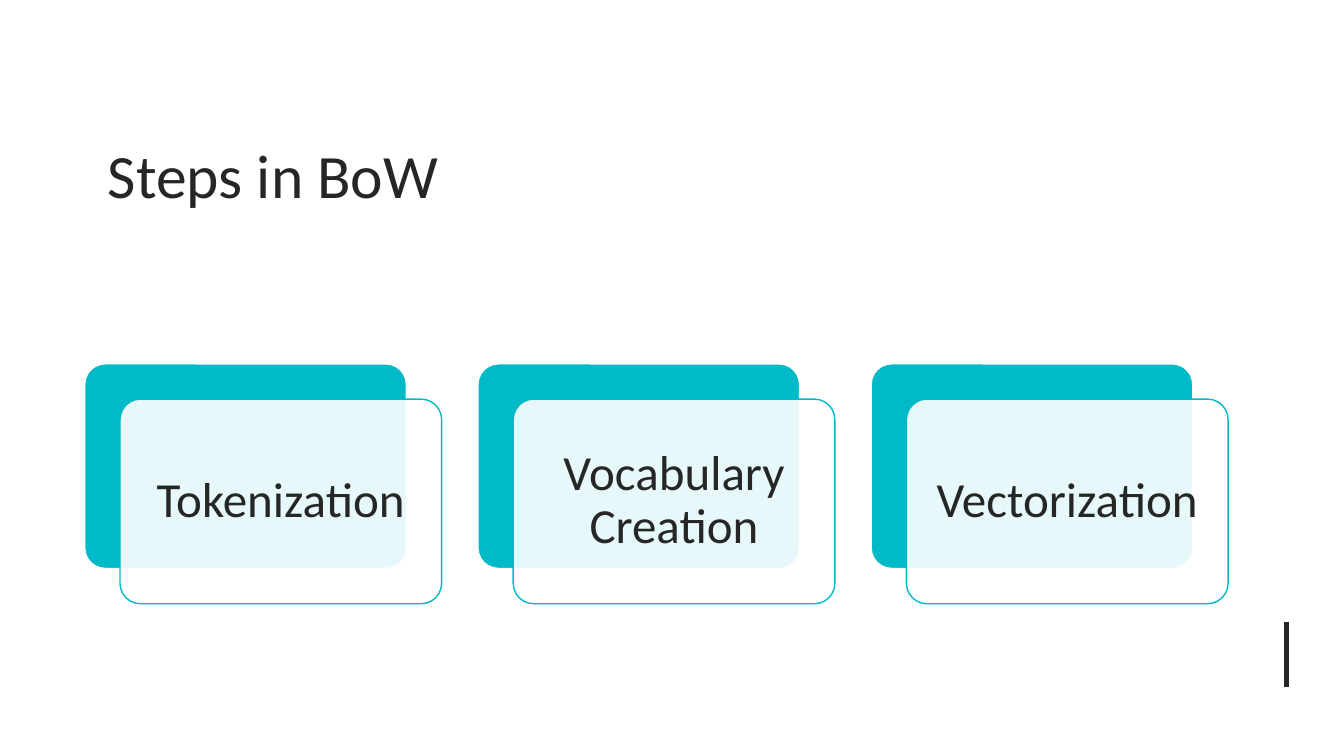
from lxml import etree
from pptx import Presentation
from pptx.dml.color import RGBColor
from pptx.enum.shapes import MSO_CONNECTOR, MSO_SHAPE
from pptx.enum.text import MSO_ANCHOR as Anchor, PP_ALIGN as Align
from pptx.oxml.ns import qn
from pptx.util import Inches, Pt

FONT = "Calibri"
DARK = "262626"
TEAL = "00BAC8"
WHITE = "FFFFFF"

STEPS = ["Tokenization", "Vocabulary Creation", "Vectorization"]
FIRST_LEFT, CARD_TOP, CARD_PITCH = 0.84, 3.61, 3.9
CARD_WIDTH, CARD_HEIGHT = 3.19, 2.03
FRONT_SHIFT = 0.35


def color(hex_value):
    """Turn a hex string into a colour."""
    return RGBColor.from_string(hex_value)


def write(frame, text, size, align, line_spacing=None, inset=0.1, left_inset=None):
    """Put one formatted, vertically centred paragraph into a text frame."""
    frame.word_wrap = True
    frame.vertical_anchor = Anchor.MIDDLE
    frame.margin_left = Inches(inset if left_inset is None else left_inset)
    frame.margin_right = Inches(inset)
    paragraph = frame.paragraphs[0]
    paragraph.alignment = align
    paragraph.line_spacing = line_spacing
    run = paragraph.add_run()
    run.text = text
    run.font.name = FONT
    run.font.size = Pt(size)
    run.font.color.rgb = color(DARK)


def add_title(slide, text):
    """Place and fill the title placeholder."""
    title = slide.shapes.title
    title.left, title.top = Inches(0.83), Inches(0.94)
    title.width, title.height = Inches(10.49), Inches(1.57)
    write(title.text_frame, text, size=44, align=Align.LEFT, left_inset=0.24)


def add_card(slide, left, top, fill, line, opacity=100):
    """Add a rounded card and return it."""
    card = slide.shapes.add_shape(
        MSO_SHAPE.ROUNDED_RECTANGLE,
        Inches(left), Inches(top), Inches(CARD_WIDTH), Inches(CARD_HEIGHT))
    card.adjustments[0] = 0.1
    card.shadow.inherit = False
    card.fill.solid()
    card.fill.fore_color.rgb = color(fill)
    card.line.color.rgb = color(line)
    card.line.width = Pt(1)
    if opacity < 100:
        fill_color = card.fill._xPr.find(qn("a:solidFill"))[0]
        etree.SubElement(fill_color, qn("a:alpha"), val=str(opacity * 1000))
    return card


def add_step(slide, left, text):
    """Add a teal card with a translucent labelled card in front of it."""
    add_card(slide, left, CARD_TOP, fill=TEAL, line=WHITE)
    front = add_card(slide, left + FRONT_SHIFT, CARD_TOP + FRONT_SHIFT,
                     fill=WHITE, line=TEAL, opacity=90)
    write(front.text_frame, text, size=35, align=Align.CENTER,
          line_spacing=0.9, inset=0.21)


def add_line(slide, start, end, line_color, width):
    """Add a straight line without a shadow."""
    line = slide.shapes.add_connector(
        MSO_CONNECTOR.STRAIGHT, *map(Inches, start + end))
    line.line.color.rgb = color(line_color)
    line.line.width = Pt(width)
    etree.SubElement(line._element.spPr, qn("a:effectLst"))


def main():
    """Build and save the slide."""
    presentation = Presentation()
    presentation.slide_width = Inches(13.33)
    presentation.slide_height = Inches(7.5)
    slide = presentation.slides.add_slide(presentation.slide_layouts[5])
    slide.background.fill.solid()
    slide.background.fill.fore_color.rgb = color(WHITE)
    add_line(slide, (12.76, 6.17), (12.76, 6.82), DARK, 3)
    add_title(slide, "Steps in BoW")
    for index, step in enumerate(STEPS):
        add_step(slide, FIRST_LEFT + index * CARD_PITCH, step)
    presentation.save("out.pptx")


if __name__ == "__main__":
    main()
